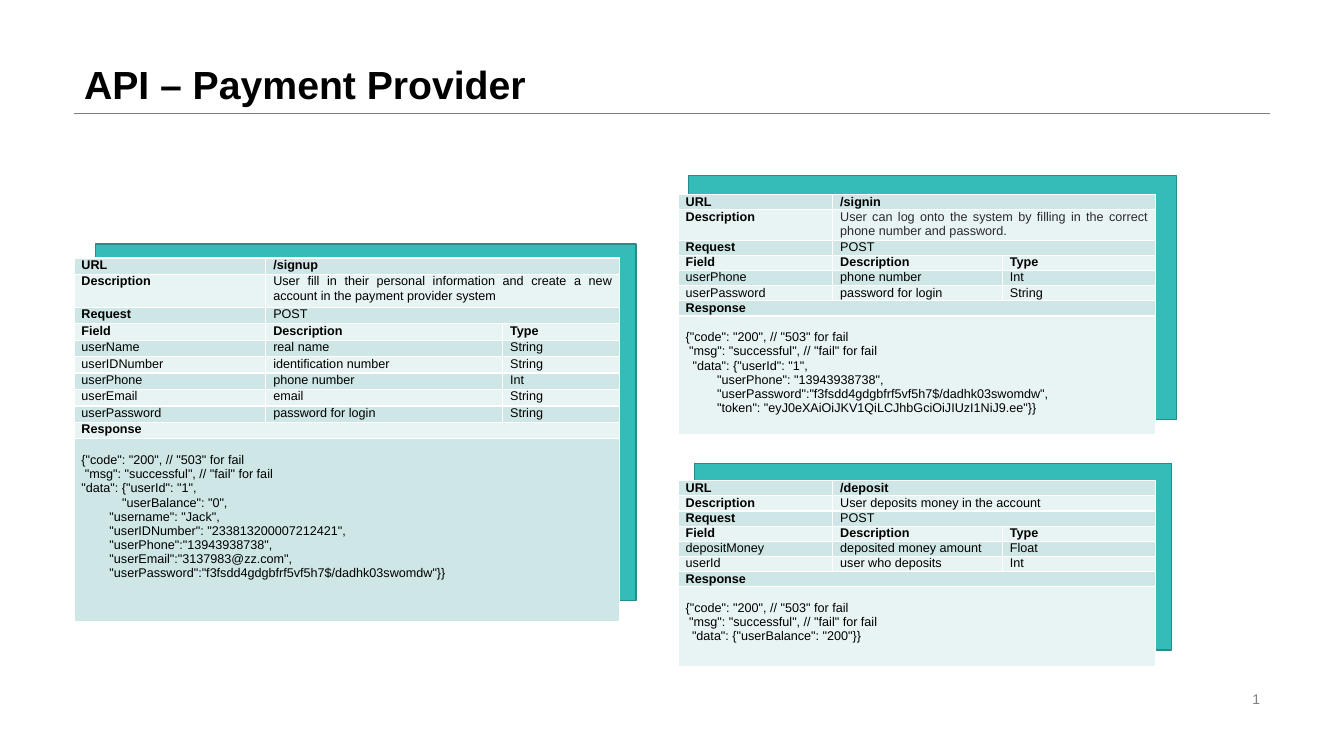
from lxml import etree
from pptx import Presentation
from pptx.dml.color import RGBColor
from pptx.enum.shapes import MSO_CONNECTOR, MSO_SHAPE
from pptx.enum.text import MSO_ANCHOR, MSO_AUTO_SIZE, PP_ALIGN
from pptx.oxml.ns import qn
from pptx.util import Pt

LINE = MSO_CONNECTOR.STRAIGHT
RECT = MSO_SHAPE.RECTANGLE
TOP, MID, BOTTOM = MSO_ANCHOR.TOP, MSO_ANCHOR.MIDDLE, MSO_ANCHOR.BOTTOM
FIXED = MSO_AUTO_SIZE.NONE
LEFT, RIGHT, FULL = PP_ALIGN.LEFT, PP_ALIGN.RIGHT, PP_ALIGN.JUSTIFY

BLACK = RGBColor(0, 0, 0)
INK = RGBColor(0x2A, 0x2B, 0x2E)
GRAY = RGBColor(0x80, 0x80, 0x80)
WHITE = RGBColor(0xFF, 0xFF, 0xFF)
TEAL = RGBColor(0x35, 0xBC, 0xB8)
EDGE = RGBColor(0x27, 0x8B, 0x88)
BANDS = (RGBColor(0xCE, 0xE7, 0xE6), RGBColor(0xE8, 0xF3, 0xF3))

BODY = {"name": "Arial", "size": Pt(9), "bold": False}
HEAD = {**BODY, "size": Pt(28), "bold": True}
FOOT = {**BODY, "size": Pt(10)}
CELL = {"margin_left": Pt(5.4), "margin_right": Pt(5.4),
        "margin_top": 0, "margin_bottom": 0, "vertical_anchor": TOP}
PLAIN = {"first_row": False, "horz_banding": False}
GAP = Pt(10.35)

STATUS = [(0, '{"code": "200", // "503" for fail'),
          (2.5, '"msg": "successful", // "fail" for fail')]
LOGIN = ("userPassword", "password for login", "String")
PHONE = ("userPhone", "phone number", "Int")

CARDS = [
    {"box": (52.8, 184.3), "back": (68.4, 174.2, 385.9, 254.9),
     "cols": (137, 169.2, 83.4), "row": 11.75, "tall": 130.3, "lines": 2,
     "url": "/signup", "ink": BLACK,
     "about": "User fill in their personal information and create a new "
              "account in the payment provider system",
     "fields": [("userName", "real name", "String"),
                ("userIDNumber", "identification number", "String"),
                PHONE, ("userEmail", "email", "String"), LOGIN],
     "reply": STATUS + [
         (0, '"data": {"userId": "1",'),
         (29, '"userBalance": "0",'),
         (20, '"username": "Jack",'),
         (20, '"userIDNumber": "233813200007212421",'),
         (20, '"userPhone":"13943938738",'),
         (20, '"userEmail":"3137983@zz.com",'),
         (20, '"userPassword":"f3fsdd4gdgbfrf5vf5h7$/dadhk03swomdw"}}')]},
    {"box": (484.4, 139), "back": (491.8, 125.3, 348.5, 174.2),
     "cols": (110.4, 121.2, 109.2), "row": 10.85, "tall": 85, "lines": 2,
     "url": "/signin", "ink": INK,
     "about": "User can log onto the system by filling in the correct "
              "phone number and password.",
     "fields": [PHONE, LOGIN],
     "reply": STATUS + [
         (5, '"data": {"userId": "1",'),
         (22.5, '"userPhone": "13943938738",'),
         (22.5, '"userPassword":"f3fsdd4gdgbfrf5vf5h7$/dadhk03swomdw",'),
         (22.5, '"token": "eyJ0eXAiOiJKV1QiLCJhbGciOiJIUzI1NiJ9.ee"}}')]},
    {"box": (484.4, 343.3), "back": (496.1, 331.2, 340.6, 133.2),
     "cols": (110.4, 121.2, 109.2), "row": 10.85, "tall": 56.9, "lines": 1,
     "url": "/deposit", "ink": BLACK,
     "about": "User deposits money in the account",
     "fields": [("depositMoney", "deposited money amount", "Float"),
                ("userId", "user who deposits", "Int")],
     "reply": STATUS + [(4.5, '"data": {"userBalance": "200"}}')]},
]


def put(item, look):
    for key, val in look.items():
        setattr(item, key, val)


def points(box):
    return [Pt(n) for n in box]


def write(para, text, look, ink, align):
    para.alignment = align
    run = para.add_run()
    run.text = text
    put(run.font, look)
    run.font.color.rgb = ink


def frame_cell(cell, fill):
    put(cell, CELL)
    prop = cell._tc.get_or_add_tcPr()
    for side in ("lnL", "lnR", "lnT", "lnB"):
        line = etree.SubElement(prop, qn("a:" + side), w=str(Pt(1)))
        paint = etree.SubElement(line, qn("a:solidFill"))
        etree.SubElement(paint, qn("a:srgbClr"), val=str(WHITE))
    cell.fill.solid()
    cell.fill.fore_color.rgb = fill


def draw_head(slide, box):
    left, top, width, height = points(box)
    title = slide.shapes.title
    put(title, {"left": left, "top": top, "width": width, "height": height})
    put(title.text_frame, {"vertical_anchor": BOTTOM, "auto_size": FIXED,
                           "word_wrap": True})
    para = title.text_frame.paragraphs[0]
    para.line_spacing = 0.9
    write(para, "API – Payment Provider", HEAD, BLACK, LEFT)
    base = top + height
    rule = slide.shapes.add_connector(LINE, left, base, left + width, base)
    rule.line.color.rgb = GRAY
    rule.line.width = Pt(0.25)
    etree.SubElement(rule._element.spPr, qn("a:effectLst"))


def draw_foot(slide, box):
    frame = slide.shapes.add_textbox(*points(box)).text_frame
    put(frame, {"word_wrap": True, "vertical_anchor": MID})
    write(frame.paragraphs[0], "1", FOOT, GRAY, RIGHT)


def draw_back(slide, box):
    back = slide.shapes.add_shape(RECT, *points(box))
    back.shadow.inherit = False
    back.fill.solid()
    back.fill.fore_color.rgb = TEAL
    back.line.color.rgb = EDGE
    back.line.width = Pt(1)


def draw_reply(cell, reply):
    cell.margin_top = GAP
    frame = cell.text_frame
    for num, (dent, text) in enumerate(reply):
        para = frame.add_paragraph() if num else frame.paragraphs[0]
        para._p.get_or_add_pPr().set("marL", str(Pt(dent)))
        write(para, text, BODY, BLACK, FULL)


def draw_card(slide, card):
    draw_back(slide, card["back"])
    rows = [("URL", card["url"]), ("Description", card["about"]),
            ("Request", "POST"), ("Field", "Description", "Type"),
            *card["fields"], ("Response",), ()]
    highs = [card["row"]] * len(rows)
    highs[1] *= card["lines"]
    highs[-1] = card["tall"]
    size = (sum(card["cols"]), sum(highs))
    table = slide.shapes.add_table(
        len(rows), 3, *points(card["box"] + size)).table
    put(table, PLAIN)
    for col, wide in zip(table.columns, card["cols"]):
        col.width = Pt(wide)
    for num, (row, high) in enumerate(zip(rows, highs)):
        table.rows[num].height = Pt(high)
        for col in range(3):
            frame_cell(table.cell(num, col), BANDS[num % 2])
        if len(row) < 3:
            table.cell(num, max(len(row) - 1, 0)).merge(table.cell(num, 2))
        for col, text in enumerate(row):
            bold = (num in (0, 3) or text == "Response"
                    or num < 3 and col == 0)
            ink = card["ink"] if (num, col) == (1, 1) else BLACK
            write(table.cell(num, col).text_frame.paragraphs[0], text,
                  {**BODY, "bold": bold}, ink, FULL)
    draw_reply(table.cell(len(rows) - 1, 0), card["reply"])


deck = Presentation()
put(deck, {"slide_width": Pt(960), "slide_height": Pt(540)})
slide = deck.slides.add_slide(deck.slide_layouts[5])
draw_head(slide, (52.8, 0, 854.4, 80.8))
for card in CARDS:
    draw_card(slide, card)
draw_foot(slide, (678.2, 491, 229, 16.6))
deck.save("out.pptx")
